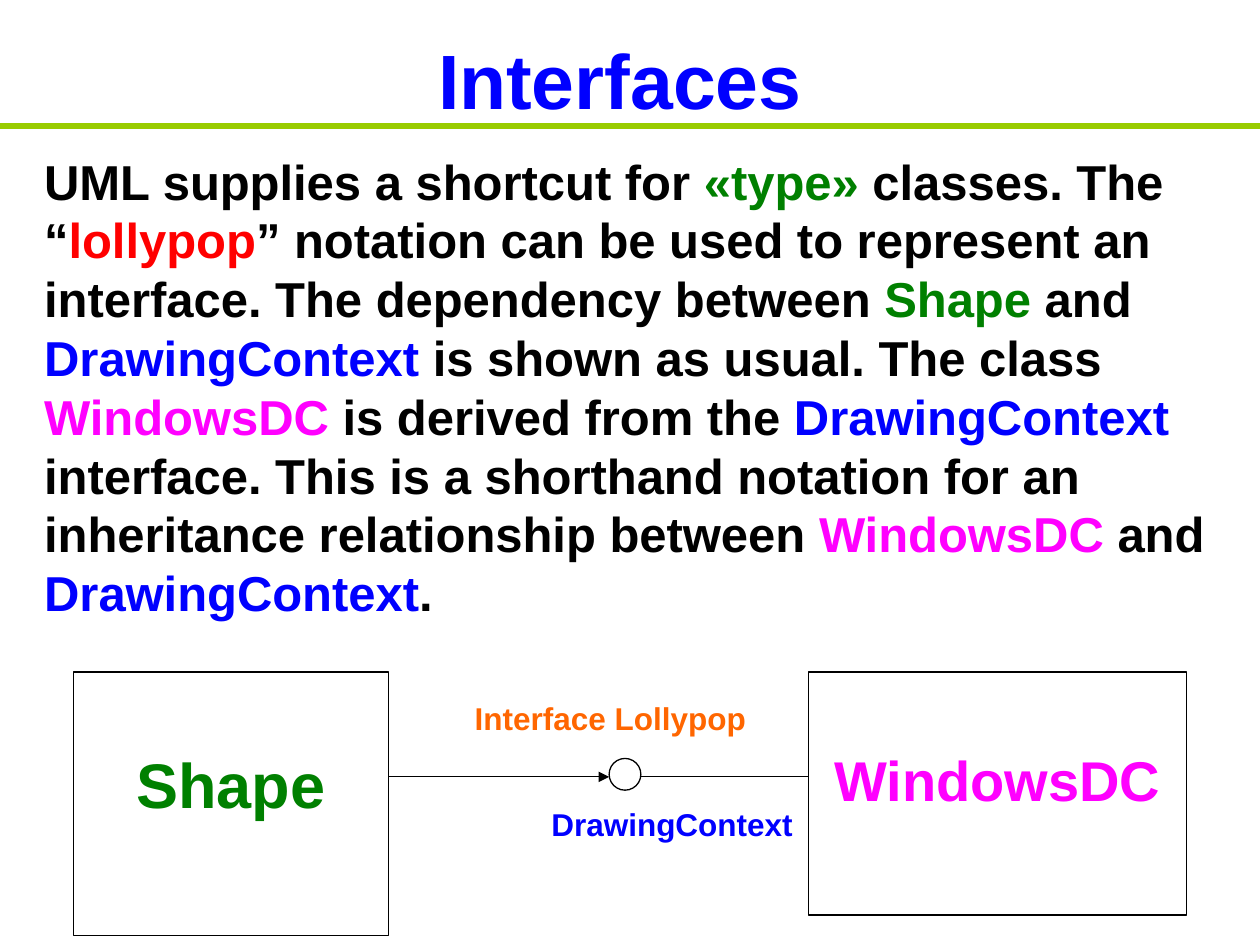
"""Build the slide on UML interfaces and the lollypop notation."""
from lxml.etree import SubElement
from pptx import Presentation
from pptx.dml.color import RGBColor
from pptx.enum.shapes import MSO_CONNECTOR, MSO_SHAPE
from pptx.enum.text import MSO_ANCHOR, PP_ALIGN
from pptx.oxml.ns import qn
from pptx.util import Cm, Pt

BLACK = RGBColor(0, 0, 0)
BLUE = RGBColor(0, 0, 255)
GREEN = RGBColor(0, 128, 0)
RED = RGBColor(255, 0, 0)
MAGENTA = RGBColor(255, 0, 255)
ORANGE = RGBColor(255, 102, 0)
LIME = RGBColor(153, 204, 0)

BODY = [
    ("UML supplies a shortcut for ", BLACK), ("«type»", GREEN),
    (" classes. The “", BLACK), ("lollypop", RED),
    ("” notation can be used to represent an interface. "
     "The dependency between ", BLACK),
    ("Shape", GREEN), (" and ", BLACK), ("DrawingContext", BLUE),
    (" is shown as usual. The class ", BLACK), ("WindowsDC", MAGENTA),
    (" is derived from the ", BLACK), ("DrawingContext ", BLUE),
    ("interface. This is a shorthand notation for an inheritance "
     "relationship between ", BLACK),
    ("WindowsDC ", MAGENTA), ("and ", BLACK), ("DrawingContext", BLUE),
    (".", BLACK),
]


class SlideBuilder:
    font_format = {"name": "Arial", "bold": True}
    frame_format = {
        "margin_left": Cm(0.25), "margin_right": Cm(0.25),
        "margin_top": Cm(0.13), "margin_bottom": Cm(0.13),
        "vertical_anchor": MSO_ANCHOR.TOP, "word_wrap": True,
    }

    def __init__(self, slide):
        self.slide = slide

    def fill_text(self, box, spans, size, align=PP_ALIGN.CENTER, spacing=None,
                  **frame_changes):
        frame = box.text_frame
        for name, value in {**self.frame_format, **frame_changes}.items():
            setattr(frame, name, value)
        para = frame.paragraphs[0]
        para.alignment = align
        if spacing:
            para.line_spacing = Pt(spacing)
        for text, color in spans:
            span = para.add_run()
            span.text = text
            for name, value in {**self.font_format, "size": Pt(size)}.items():
                setattr(span.font, name, value)
            span.font.color.rgb = color

    def title(self, place, text, size, color):
        box = self.slide.shapes.title
        for name, value in zip(("left", "top", "width", "height"), place):
            setattr(box, name, Cm(value))
        self.fill_text(box, [(text, color)], size, vertical_anchor=MSO_ANCHOR.MIDDLE)

    def text(self, place, spans, size, **changes):
        box = self.slide.shapes.add_textbox(*map(Cm, place))
        self.fill_text(box, spans, size, **changes)

    def outline(self, kind, place):
        shape = self.slide.shapes.add_shape(kind, *map(Cm, place))
        shape.shadow.inherit = False
        shape.fill.background()
        shape.line.color.rgb = BLACK
        shape.line.width = Pt(0.75)
        return shape

    def class_box(self, place, name, size, color):
        box = self.outline(MSO_SHAPE.RECTANGLE, place)
        self.fill_text(box, [(name, color)], size, margin_top=Cm(1.47))

    def line(self, left, right, height, color=BLACK, width=0.75, arrow=False):
        line = self.slide.shapes.add_connector(
            MSO_CONNECTOR.STRAIGHT, Cm(left), Cm(height), Cm(right), Cm(height))
        line.line.color.rgb = color
        line.line.width = Pt(width)
        properties = line._element.spPr
        if arrow:
            SubElement(properties.find(qn("a:ln")), qn("a:tailEnd"), type="triangle")
        SubElement(properties, qn("a:effectLst"))


def main():
    deck = Presentation()
    deck.slide_width, deck.slide_height = Cm(25.4), Cm(19.05)
    page = SlideBuilder(deck.slides.add_slide(deck.slide_layouts[5]))

    page.title((1.7, 0.5, 21.6, 2.16), "Interfaces", 44, BLUE)
    page.line(0, 25.4, 2.54, LIME, 3)
    page.text((0.64, 2.92, 24.13, 9.75), BODY, 28, align=PP_ALIGN.LEFT, spacing=33.6)

    page.class_box((1.48, 13.55, 6.35, 5.31), "Shape", 36, GREEN)
    page.line(7.83, 12.28, 15.66, arrow=True)
    page.outline(MSO_SHAPE.OVAL, (12.28, 15.29, 0.64, 0.64))
    page.line(12.92, 16.3, 15.66)
    page.class_box((16.3, 13.55, 7.62, 4.9), "WindowsDC", 32, MAGENTA)
    page.text((10.8, 16.09, 5.5, 1.02), [("DrawingContext", BLUE)], 18)
    page.text((9.32, 13.97, 5.97, 1.02), [("Interface Lollypop", ORANGE)], 18,
              word_wrap=False)
    deck.save("out.pptx")


if __name__ == "__main__":
    main()
